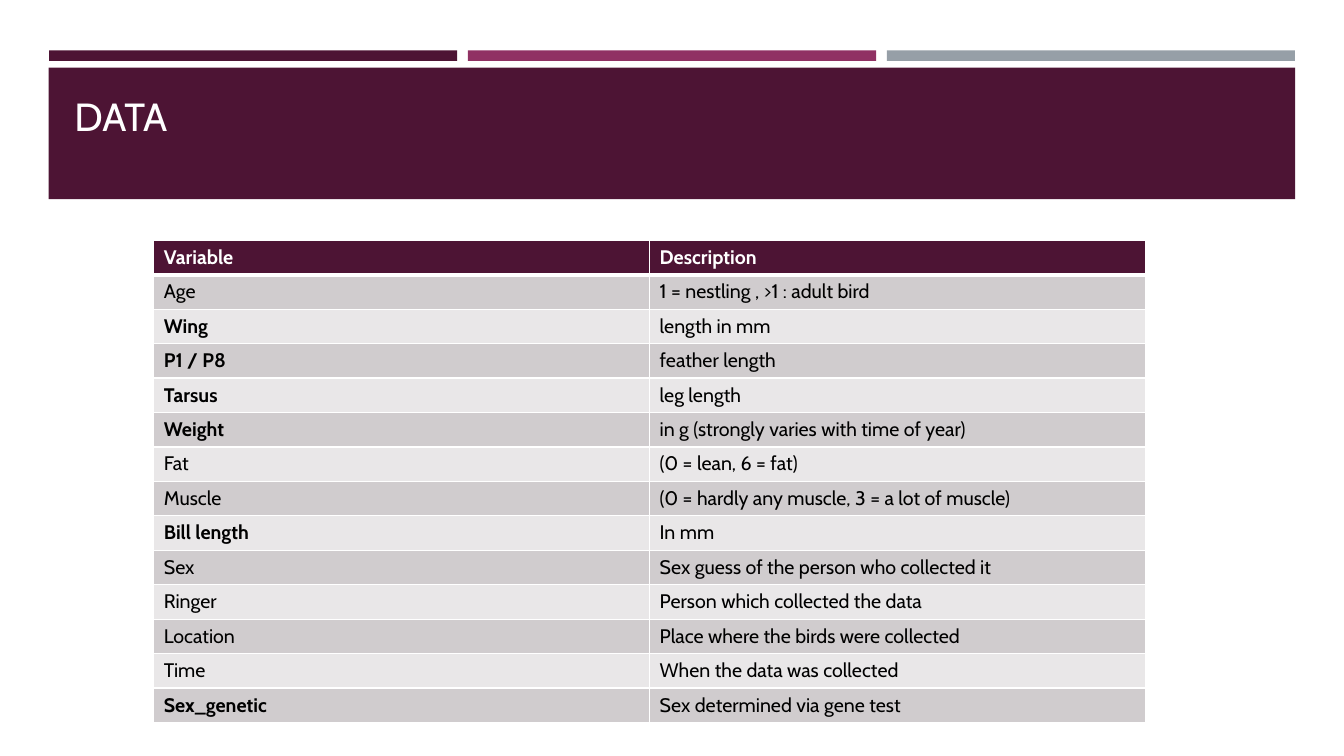
"""Build the slide that lists the variables of the bird data set."""
from lxml.etree import SubElement
from pptx import Presentation
from pptx.dml.color import RGBColor
from pptx.enum.shapes import MSO_SHAPE
from pptx.enum.text import MSO_ANCHOR
from pptx.oxml.ns import qn
from pptx.util import Pt

COLORS = {
    "plum": "4D1434", "magenta": "903163", "gray": "969FA7", "white": "FFFFFF",
    "black": "000000", "dark band": "D0CCCE", "light band": "E9E7E8",
}
ROWS = [
    ("Variable", "Description"),
    ("Age", "1 = nestling , >1 : adult bird"),
    ("Wing", "length in mm"),
    ("P1 / P8", "feather length"),
    ("Tarsus", "leg length"),
    ("Weight", "in g (strongly varies with time of year)"),
    ("Fat", "(0 = lean, 6 = fat)"),
    ("Muscle", "(0 = hardly any muscle, 3 = a lot of muscle)"),
    ("Bill length", "In mm"),
    ("Sex", "Sex guess of the person who collected it"),
    ("Ringer", "Person which collected the data"),
    ("Location", "Place where the birds were collected"),
    ("Time", "When the data was collected"),
    ("Sex_genetic", "Sex determined via gene test"),
]
BOLD_VARIABLES = {"Wing", "P1 / P8", "Tarsus", "Weight", "Bill length", "Sex_genetic"}


def write_text(text_frame, text, size, color, bold=False):
    """Put one formatted line of text into a text frame."""
    run = text_frame.paragraphs[0].add_run()
    run.text = text
    formats = {"name": "Cabin", "size": Pt(size), "bold": bold}
    for attribute, value in formats.items():
        setattr(run.font, attribute, value)
    run.font.color.rgb = RGBColor.from_string(COLORS[color])


def add_border(cell, side, width):
    """Give one side of a table cell a white line."""
    line = SubElement(cell._tc.get_or_add_tcPr(), qn(f"a:{side}"), w=str(Pt(width)))
    fill = SubElement(line, qn("a:solidFill"))
    SubElement(fill, qn("a:srgbClr"), val=COLORS["white"])


presentation = Presentation()
presentation.slide_width, presentation.slide_height = Pt(960), Pt(540)
slide = presentation.slides.add_slide(presentation.slide_layouts[6])

bars = [(35 + 299.2 * index, 36, 291.6, 7.5, color)
        for index, color in enumerate(("plum", "magenta", "gray"))]
banner = (34.8, 48.4, 890.4, 93.8, "plum")
for left, top, width, height, color in bars + [banner]:
    shape = slide.shapes.add_shape(
        MSO_SHAPE.RECTANGLE, Pt(left), Pt(top), Pt(width), Pt(height))
    shape.shadow.inherit = False
    shape.fill.solid()
    shape.fill.fore_color.rgb = RGBColor.from_string(COLORS[color])
    shape.line.fill.background()

title = slide.shapes.add_textbox(Pt(46), Pt(55.4), Pt(868.3), Pt(80))
title_formats = {"word_wrap": True, "vertical_anchor": MSO_ANCHOR.TOP, "margin_top": Pt(10.5)}
for attribute, value in title_formats.items():
    setattr(title.text_frame, attribute, value)
write_text(title.text_frame, "DATA", 28, "white")

table = slide.shapes.add_table(
    len(ROWS), 2, Pt(109.8), Pt(171.6), Pt(708.4), Pt(344.8)).table
for row_index, texts in enumerate(ROWS):
    table.rows[row_index].height = Pt(24.63)
    header = row_index == 0
    band = "plum" if header else ("light band", "dark band")[row_index % 2]
    for column_index, text in enumerate(texts):
        cell = table.cell(row_index, column_index)
        borders = {"lnL": 1, "lnR": 1, "lnT": 3 if row_index == 1 else 1,
                   "lnB": 3 if header else 1}
        for side, width in borders.items():
            add_border(cell, side, width)
        cell.fill.solid()
        cell.fill.fore_color.rgb = RGBColor.from_string(COLORS[band])
        write_text(cell.text_frame, text, 14, "white" if header else "black",
                   header or text in BOLD_VARIABLES)

presentation.save("out.pptx")
